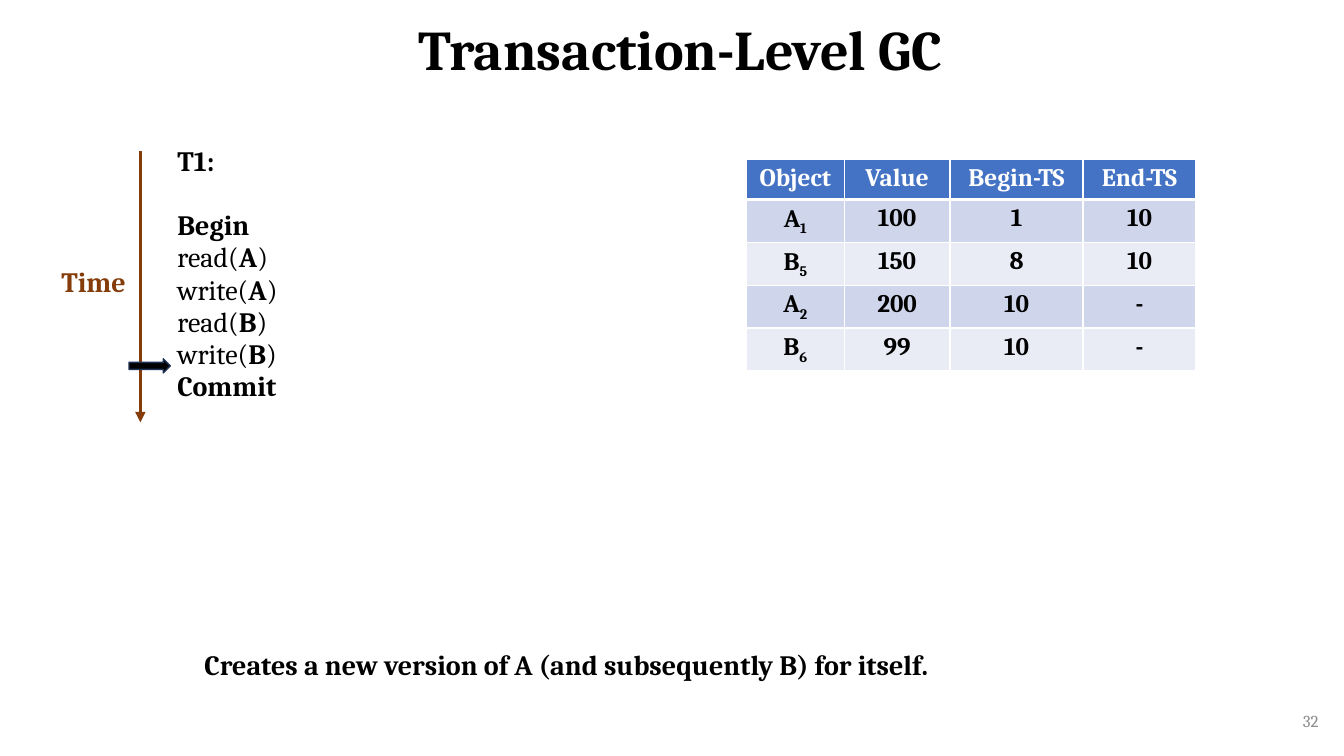
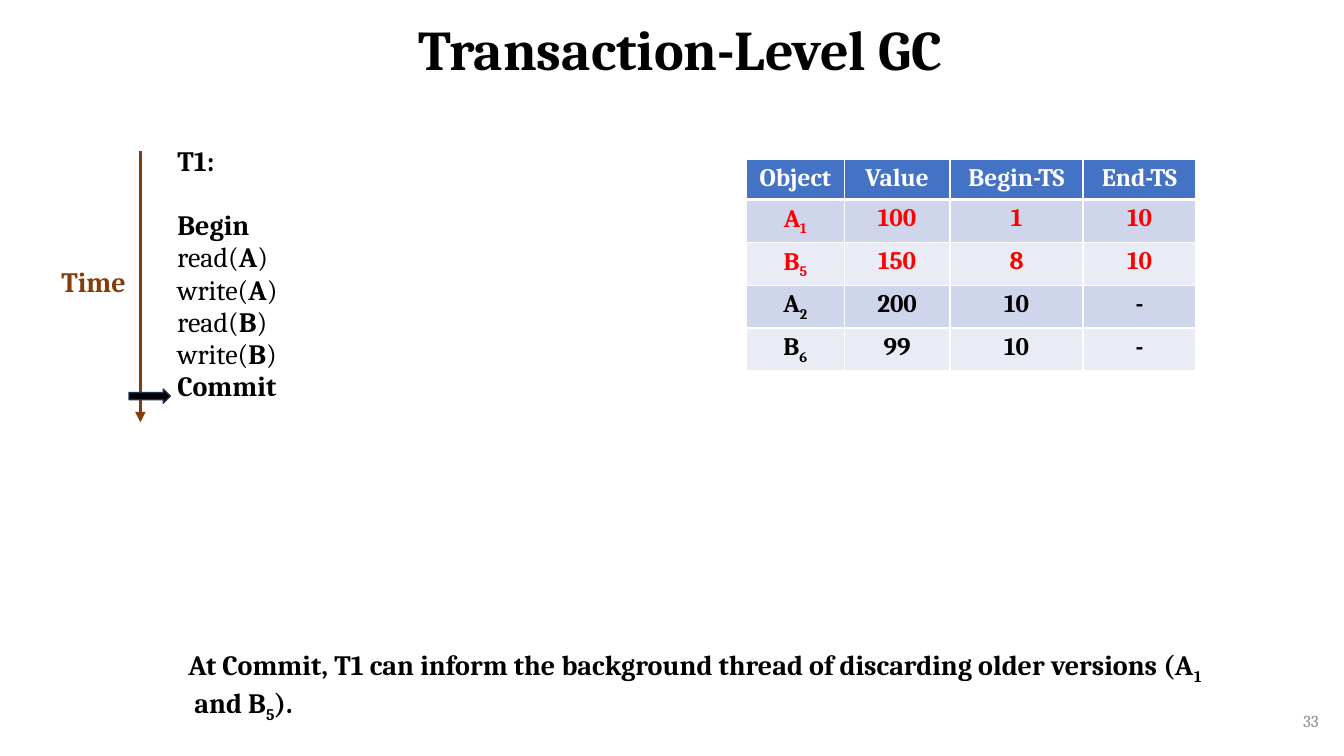
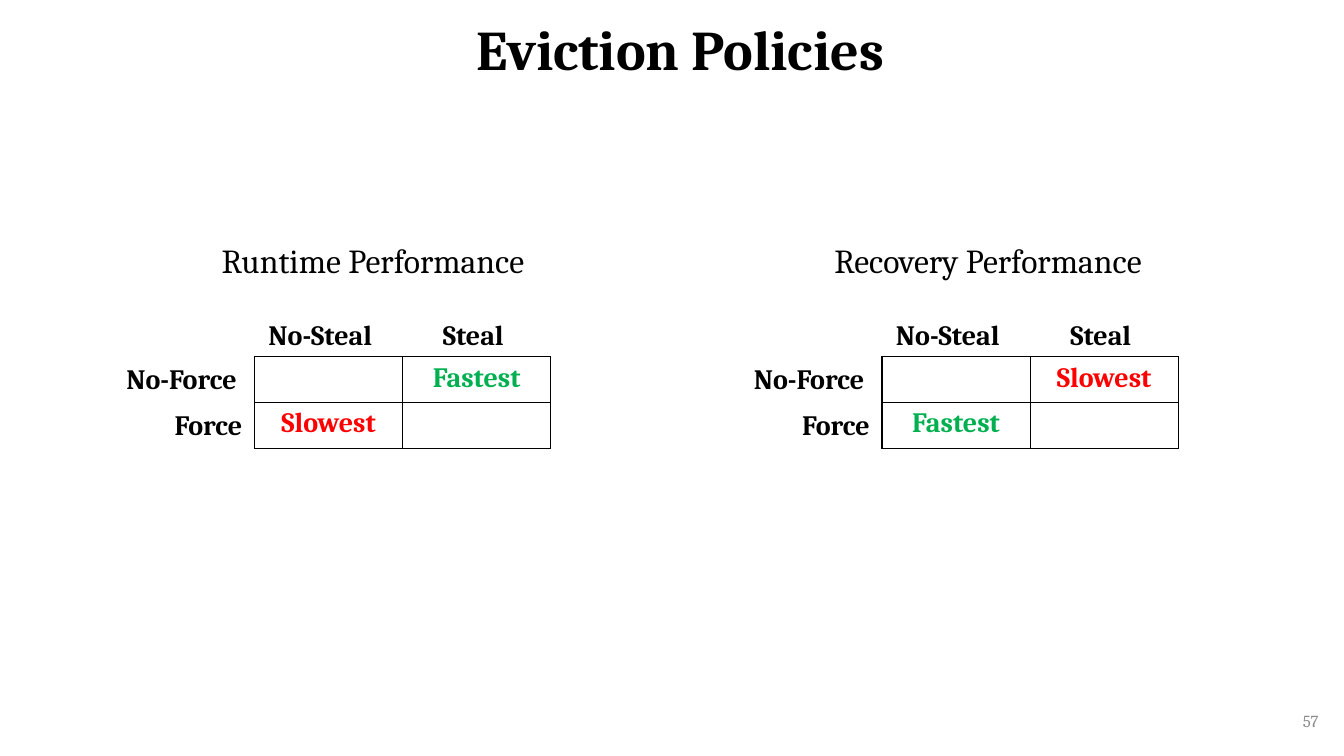
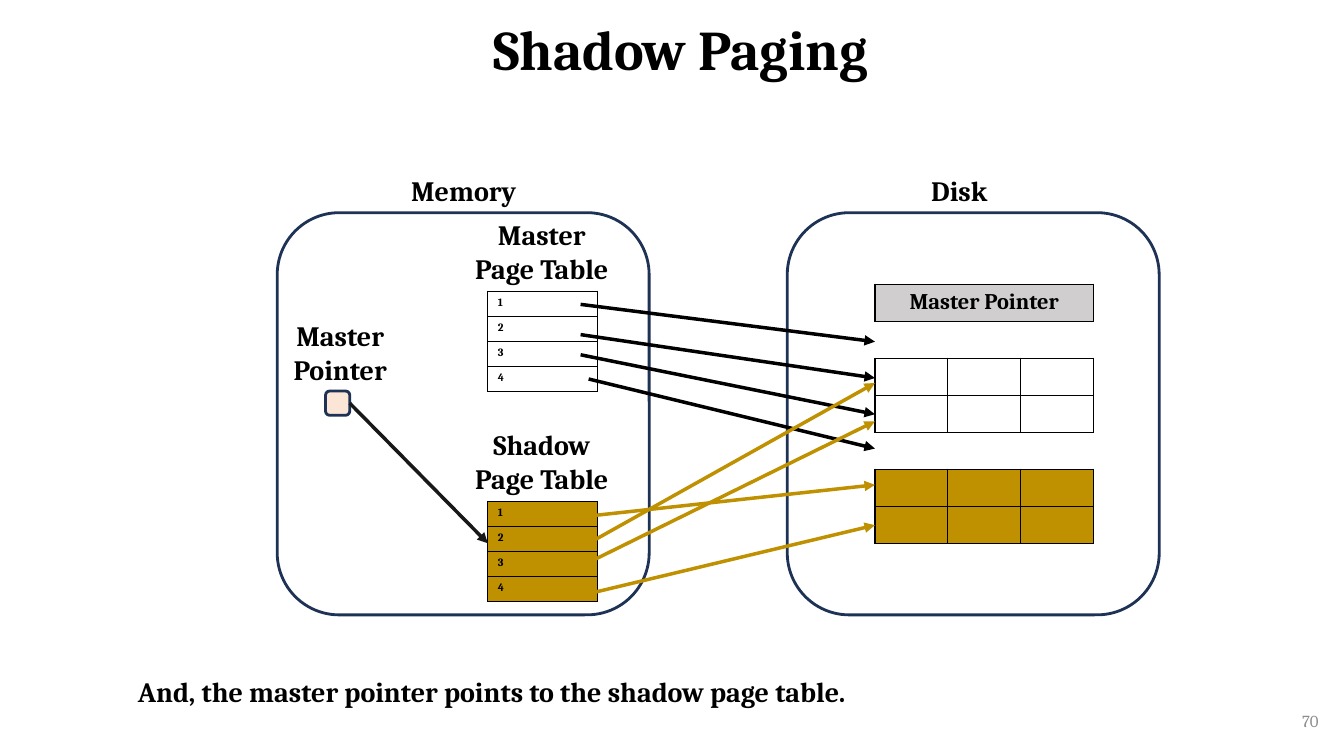
from dataclasses import dataclass, field
from typing import NamedTuple, Optional

from lxml.etree import SubElement
from pptx import Presentation
from pptx.dml.color import RGBColor
from pptx.enum.shapes import MSO_CONNECTOR, MSO_SHAPE
from pptx.enum.text import MSO_ANCHOR, PP_ALIGN
from pptx.oxml.ns import qn
from pptx.util import Inches, Pt

LEFT, CENTER, RIGHT = PP_ALIGN.LEFT, PP_ALIGN.CENTER, PP_ALIGN.RIGHT
TOP, MIDDLE = MSO_ANCHOR.TOP, MSO_ANCHOR.MIDDLE
ROUND, ARROW = MSO_SHAPE.ROUNDED_RECTANGLE, MSO_SHAPE.RIGHT_ARROW
STRAIGHT = MSO_CONNECTOR.STRAIGHT

BLACK = RGBColor(0x00, 0x00, 0x00)
WHITE = RGBColor(0xFF, 0xFF, 0xFF)
GRAY = RGBColor(0x8C, 0x8C, 0x8C)
SILVER = RGBColor(0xD0, 0xCE, 0xCE)
COAL = RGBColor(0x18, 0x18, 0x18)
NAVY = RGBColor(0x1E, 0x32, 0x56)
BLUE = RGBColor(0x44, 0x72, 0xC4)
BANDS = (RGBColor(0xCF, 0xD5, 0xEA), RGBColor(0xE9, 0xEB, 0xF5))
BROWN = RGBColor(0x84, 0x3C, 0x0B)
RED = RGBColor(0xFF, 0x00, 0x00)
GREEN = RGBColor(0x00, 0xB0, 0x50)
GOLD = RGBColor(0xBF, 0x90, 0x00)
PEACH = RGBColor(0xFB, 0xE5, 0xD6)

FONT = "Cambria"
COLS, ROWS = 133.33, 75
UNIT = Inches(0.1)
PLAIN = 5
STEPS = ("T1:\nBegin\n*read(*A*)*\n*write(*A*)*\n"
         "*read(*B*)*\n*write(*B*)*\nCommit")


class Box(NamedTuple):
    x: float
    y: float
    w: float
    h: float


class Edge(NamedTuple):
    color: RGBColor = BLACK
    width: float = 1


def sides(color: RGBColor, names: str = "LRTB") -> dict[str, Edge]:
    return {name: Edge(color) for name in names}


@dataclass(frozen=True)
class Cell:
    text: str = ""
    fill: Optional[RGBColor] = None
    ink: RGBColor = BLACK
    edges: dict[str, Edge] = field(default_factory=lambda: sides(BLACK))
    lead: Optional[float] = None


@dataclass(frozen=True)
class Stage:
    page: int
    mark: float
    stale: RGBColor
    note: str
    box: Box


@dataclass(frozen=True)
class Panel:
    name: str
    x: float
    left: float
    high: Cell
    low: Cell


@dataclass(frozen=True)
class Pages:
    name: str
    y: float
    fill: Optional[RGBColor]


class Link(NamedTuple):
    x: float
    y: float
    end: float
    color: RGBColor


def emu(*units: float) -> tuple[int, ...]:
    return tuple(int(unit * UNIT) for unit in units)


def put(frame, text: str, *, size: float = 20, bold: bool = True,
        color: RGBColor = BLACK, align=LEFT, lead=None) -> None:
    for row, line in enumerate(text.split("\n")):
        para = frame.add_paragraph() if row else frame.paragraphs[0]
        para.alignment = align
        if lead:
            para.line_spacing = lead
        if not line:
            para._p.get_or_add_endParaRPr().set("sz", "1000")
        for low, part in enumerate(line.split("~")):
            for flip, bit in enumerate(part.split("*")):
                if not bit:
                    continue
                run = para.add_run()
                run.text = bit
                font = run.font
                font.name, font.size = FONT, Pt(size)
                font.bold = bold != bool(flip % 2)
                font.color.rgb = color
                if low % 2:
                    run._r.get_or_add_rPr().set("baseline", "-25000")


def label(slide, text: str, box: Box, *, anchor=TOP, **style) -> None:
    frame = slide.shapes.add_textbox(*emu(*box)).text_frame
    frame.word_wrap = True
    frame.vertical_anchor = anchor
    put(frame, text, **style)


def start(deck, title: str, page: int):
    slide = deck.slides.add_slide(deck.slide_layouts[PLAIN])
    head = slide.shapes.title
    head.left, head.top, head.width, head.height = emu(10, 0.2, 115, 9.9)
    head.text_frame.vertical_anchor = MIDDLE
    put(head.text_frame, title, size=40, align=CENTER, lead=0.9)
    label(slide, str(page), Box(101.8, 69.5, 30, 4), anchor=MIDDLE,
          size=12, bold=False, color=GRAY, align=RIGHT)
    return slide


def shape(slide, kind, box: Box, *, fill=None, width: float = 2) -> None:
    item = slide.shapes.add_shape(kind, *emu(*box))
    item.shadow.inherit = False
    item.line.color.rgb = NAVY
    item.line.width = Pt(width)
    if fill is None:
        item.fill.background()
    else:
        item.fill.solid()
        item.fill.fore_color.rgb = fill


def arrow(slide, x: float, y: float, right: float, end: float,
          color: RGBColor) -> None:
    item = slide.shapes.add_connector(STRAIGHT, *emu(x, y, right, end))
    item.line.color.rgb = color
    item.line.width = Pt(2.5)
    SubElement(item.line._get_or_add_ln(), qn("a:tailEnd"), type="triangle")
    SubElement(item._element.spPr, qn("a:effectLst"))


def dress(cell, look: Cell) -> None:
    props = cell._tc.get_or_add_tcPr()
    for name in "LRTB":
        edge = look.edges.get(name)
        line = SubElement(props, qn(f"a:ln{name}"))
        if edge is None:
            SubElement(line, qn("a:noFill"))
            continue
        line.set("w", str(Pt(edge.width)))
        paint = SubElement(line, qn("a:solidFill"))
        SubElement(paint, qn("a:srgbClr"), val=str(edge.color))
    if look.fill is None:
        cell.fill.background()
    else:
        cell.fill.solid()
        cell.fill.fore_color.rgb = look.fill


def grid(slide, x: float, y: float, cols: list[float], tall: float,
         cells: list[list[Cell]], *, size: float = 20, align=CENTER):
    box = Box(x, y, sum(cols), tall * len(cells))
    table = slide.shapes.add_table(len(cells), len(cols), *emu(*box)).table
    table.first_row = table.horz_banding = False
    for col, wide in zip(table.columns, cols):
        col.width = emu(wide)[0]
    for row, line in zip(table.rows, cells):
        row.height = emu(tall)[0]
        for cell, look in zip(row.cells, line):
            dress(cell, look)
            put(cell.text_frame, look.text, size=size, color=look.ink,
                align=align, lead=look.lead)
    return table


def stage(deck, item: Stage) -> None:
    slide = start(deck, "Transaction-Level GC", item.page)
    rim = sides(WHITE)
    base = rim | {"B": Edge(WHITE, 3)}
    cells = [[Cell(name, BLUE, WHITE, base)
              for name in ("Object", "Value", "Begin-TS", "End-TS")]]
    data = (("A~1~", "100", "1", "10"), ("B~5~", "150", "8", "10"),
            ("A~2~", "200", "10", "-"), ("B~6~", "99", "10", "-"))
    for row, line in enumerate(data):
        ink = item.stale if row < 2 else BLACK
        top = base["B"] if row == 0 else rim["T"]
        cells.append([Cell(text, BANDS[row % 2], ink, rim | {"T": top}, 0.95)
                      for text in line])
    grid(slide, 74.05, 15.8, [9.7, 10.5, 13.2, 11.2], 3.6, cells, size=18)
    label(slide, item.note, item.box)

    steps = grid(slide, 16.6, 14, [21.7], 33.6,
                 [[Cell(STEPS, edges={}, lead=Pt(23))]], align=LEFT)
    steps.cell(0, 0).text_frame.paragraphs[0].space_after = Pt(23)

    arrow(slide, 13.93, 15, 13.93, 41.9, BROWN)
    label(slide, "Time", Box(5.1, 25.7, 8.9, 4.4), color=BROWN)
    shape(slide, ARROW, Box(12.8, item.mark, 4.1, 1.4), fill=BLACK, width=1)


def evict(deck) -> None:
    slide = start(deck, "Eviction Policies", 57)
    slow, fast = Cell("Slowest", ink=RED), Cell("Fastest", ink=GREEN)
    panels = (Panel("Runtime Performance", 21, 25.25, fast, slow),
              Panel("Recovery Performance", 81.8, 87.5, slow, fast))
    heads = (("No-Steal", 0.4, 31), ("Steal", 17.7, 31),
             ("No-Force", -13.7, 35.4), ("Force", -8.9, 39.9))
    for panel in panels:
        grid(slide, panel.left, 35.4, [14.7] * 2, 4.55,
             [[Cell(), panel.high], [panel.low, Cell()]])
        for text, shift, y in heads:
            label(slide, text, Box(panel.left + shift, y, 13.7, 4.4))
        label(slide, panel.name, Box(panel.x, 23.3, 35.7, 5),
              size=24, bold=False)


def shadow(deck) -> None:
    slide = start(deck, "Shadow Paging", 70)
    for text, x, left in (("Memory", 39.8, 27.5), ("Disk", 91.4, 78.1)):
        label(slide, text, Box(x, 16.7, 13, 4.4))
        shape(slide, ROUND, Box(left, 21.1, 36.9, 39.9))

    for item in (Pages("Master", 21.1, None), Pages("Shadow", 41.95, GOLD)):
        label(slide, f"{item.name}\nPage Table",
              Box(45.8, item.y, 15.9, 7.7), align=CENTER)
        grid(slide, 48.4, item.y + 7.8, [10.87], 2.48,
             [[Cell(str(page), item.fill)] for page in range(1, 5)],
             size=8, align=LEFT)

    shape(slide, ROUND, Box(32.3, 38.8, 2.4, 2.4), fill=PEACH)
    label(slide, "Master\nPointer", Box(28.05, 31.1, 11.4, 7.7), align=CENTER)
    arrow(slide, 34.7, 40, 48.4, 53.9, COAL)

    gap = [Cell(edges=sides(BLACK, "TB"))] * 3
    free, used = [Cell()] * 3, [Cell(fill=GOLD)] * 3
    lead = [Cell("Master Pointer", SILVER), Cell(fill=SILVER),
            Cell(fill=SILVER)]
    disk = grid(slide, 86.8, 28.2, [7.23] * 3, 3.67,
                [lead, gap, free, free, gap, used, used], size=16)
    disk.cell(0, 0).merge(disk.cell(0, 2))

    links = (Link(57.6, 30.2, 33.9, BLACK), Link(57.6, 33.2, 37.5, BLACK),
             Link(57.6, 35.2, 41.1, BLACK), Link(58.4, 37.6, 44.5, BLACK),
             Link(58.4, 51.2, 48.1, GOLD), Link(58.4, 53.9, 38, GOLD),
             Link(58.4, 55.8, 41.8, GOLD), Link(58.4, 58.9, 52.1, GOLD))
    for link in links:
        arrow(slide, link.x, link.y, 86.8, link.end, link.color)
    label(slide, "And, the master pointer points to the shadow page table.",
          Box(12.7, 66.4, 80, 4.4))


def main() -> None:
    deck = Presentation()
    deck.slide_width, deck.slide_height = emu(COLS, ROWS)
    stage(deck, Stage(
        32, 35.6, BLACK,
        "Creates a new version of A (and subsequently B) for itself.",
        Box(19.3, 63.7, 80, 4.4)))
    stage(deck, Stage(
        33, 38.6, RED,
        "At Commit, T1 can inform the background thread of discarding "
        "older versions (A~1~\n and B~5~).",
        Box(17.7, 63.7, 106.6, 7.7)))
    evict(deck)
    shadow(deck)
    deck.save("out.pptx")


if __name__ == "__main__":
    main()
